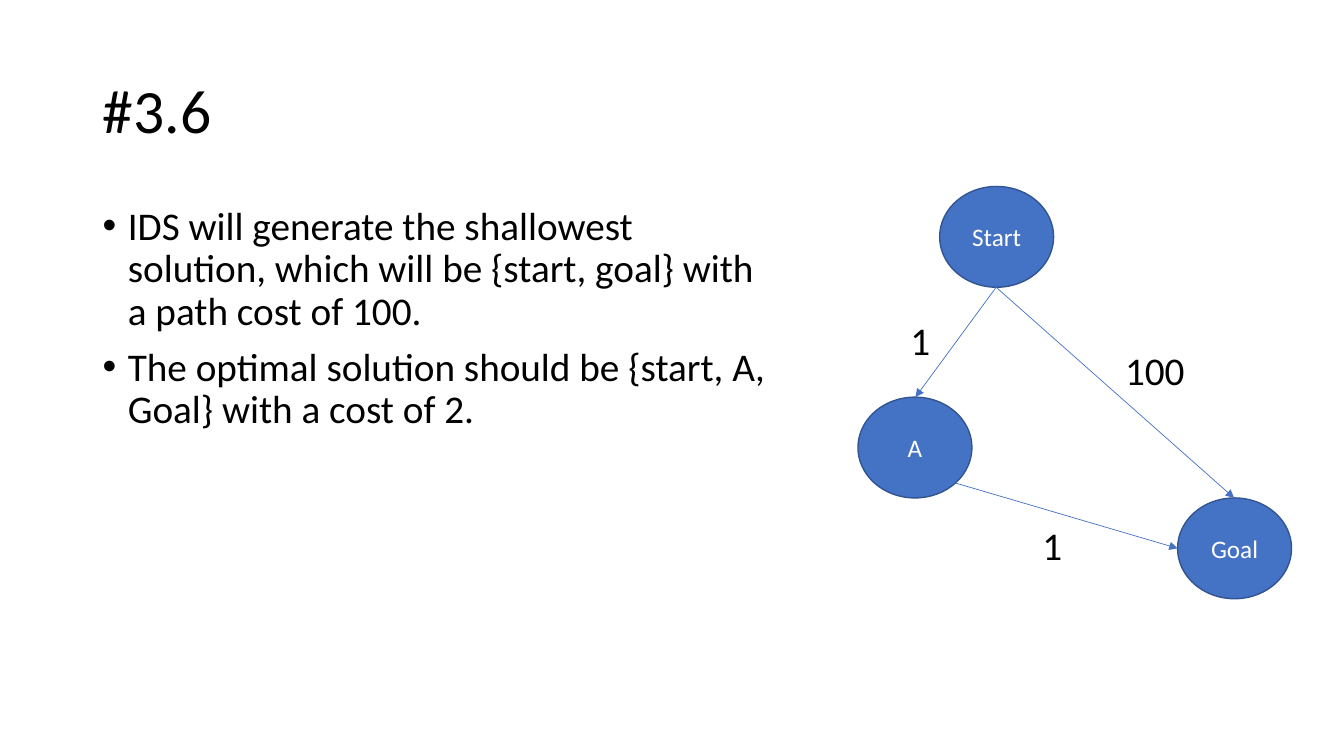
from dataclasses import dataclass

from lxml import etree
from pptx import Presentation
from pptx.dml.color import RGBColor
from pptx.enum.shapes import MSO_CONNECTOR, MSO_SHAPE
from pptx.enum.text import MSO_ANCHOR, MSO_AUTO_SIZE, PP_ALIGN
from pptx.oxml.ns import qn
from pptx.slide import Slide
from pptx.text.text import TextFrame, _Paragraph
from pptx.util import Pt

OVAL = MSO_SHAPE.OVAL
STRAIGHT = MSO_CONNECTOR.STRAIGHT
MIDDLE = MSO_ANCHOR.MIDDLE
TOP = MSO_ANCHOR.TOP
NO_FIT = MSO_AUTO_SIZE.NONE
LEFT = PP_ALIGN.LEFT
CENTER = PP_ALIGN.CENTER

BLUE = RGBColor(0x44, 0x72, 0xC4)
DARK_BLUE = RGBColor(0x32, 0x54, 0x91)
BLACK = RGBColor(0, 0, 0)
WHITE = RGBColor(255, 255, 255)

FONT = "Calibri"
EMU_PER_PX = 9144
NODE_WIDTH = 113
NODE_HEIGHT = 100

TOP_SITE = (0.5, 0)
BOTTOM_SITE = (0.5, 1)
LEFT_SITE = (0, 0.5)
LOWER_RIGHT_SITE = (0.85, 0.85)


@dataclass(frozen=True)
class Node:
    name: str
    left: int
    top: int

    def site(self, fraction: tuple[float, float]) -> tuple[int, int]:
        across, down = fraction
        return (round(self.left + across * NODE_WIDTH),
                round(self.top + down * NODE_HEIGHT))


@dataclass(frozen=True)
class Edge:
    source: Node
    source_site: tuple[float, float]
    target: Node
    target_site: tuple[float, float]


@dataclass(frozen=True)
class CostLabel:
    text: str
    left: int
    top: int
    width: int


START = Node("Start", 932, 185)
GOAL = Node("Goal", 1168, 494)
A = Node("A", 851, 394)
NODES = (START, GOAL, A)
EDGES = (
    Edge(START, BOTTOM_SITE, A, TOP_SITE),
    Edge(START, BOTTOM_SITE, GOAL, TOP_SITE),
    Edge(A, LOWER_RIGHT_SITE, GOAL, LEFT_SITE),
)
COST_LABELS = (
    CostLabel("100", 1106, 339, 101),
    CostLabel("1", 1024, 512, 79),
    CostLabel("1", 893, 309, 101),
)
BULLETS = (
    "IDS will generate the shallowest solution, which will be "
    "{start, goal} with a path cost of 100.",
    "The optimal solution should be {start, A, Goal} with a cost of 2.",
)


def px(*lengths: int) -> list[int]:
    return [length * EMU_PER_PX for length in lengths]


def add_span(para: _Paragraph, text: str, size: int, color: RGBColor) -> None:
    span = para.add_run()
    span.text = text
    span.font.name = FONT
    span.font.size = Pt(size)
    span.font.color.rgb = color


def add_text_box(page: Slide, left: int, top: int, width: int, height: int) -> TextFrame:
    frame = page.shapes.add_textbox(*px(left, top, width, height)).text_frame
    frame.word_wrap = True
    frame.auto_size = NO_FIT
    frame.vertical_anchor = TOP
    return frame


def set_title(page: Slide, text: str) -> None:
    title = page.shapes.title
    title.left, title.top, title.width, title.height = px(92, 40, 1150, 145)
    frame = title.text_frame
    frame.auto_size = NO_FIT
    frame.vertical_anchor = MIDDLE
    para = frame.paragraphs[0]
    para.alignment = LEFT
    para.line_spacing = 0.9
    add_span(para, text, 44, BLACK)


def add_bullets(page: Slide) -> None:
    frame = add_text_box(page, 92, 200, 684, 476)
    for index, text in enumerate(BULLETS):
        para = frame.add_paragraph() if index else frame.paragraphs[0]
        para.line_spacing = 0.9
        para.space_before = Pt(10 if index else 0)
        properties = para._p.get_or_add_pPr()
        indent = px(25)[0]
        properties.set("marL", str(indent))
        properties.set("indent", str(-indent))
        etree.SubElement(properties, qn("a:buFont"), typeface="Arial")
        etree.SubElement(properties, qn("a:buChar"), char="•")
        add_span(para, text, 28, BLACK)


def add_node(page: Slide, node: Node) -> None:
    oval = page.shapes.add_shape(OVAL, *px(node.left, node.top, NODE_WIDTH, NODE_HEIGHT))
    oval.shadow.inherit = False
    oval.fill.solid()
    oval.fill.fore_color.rgb = BLUE
    oval.line.color.rgb = DARK_BLUE
    oval.line.width = Pt(1)
    frame = oval.text_frame
    frame.vertical_anchor = MIDDLE
    para = frame.paragraphs[0]
    para.alignment = CENTER
    add_span(para, node.name, 18, WHITE)


def add_edge(page: Slide, edge: Edge) -> None:
    begin = edge.source.site(edge.source_site)
    end = edge.target.site(edge.target_site)
    arrow = page.shapes.add_connector(STRAIGHT, *px(*begin, *end))
    arrow.line.color.rgb = BLUE
    arrow.line.width = Pt(0.5)
    etree.SubElement(arrow.line._get_or_add_ln(), qn("a:tailEnd"), type="triangle")
    etree.SubElement(arrow._element.spPr, qn("a:effectLst"))


def add_cost_label(page: Slide, label: CostLabel) -> None:
    frame = add_text_box(page, label.left, label.top, label.width, 57)
    add_span(frame.paragraphs[0], label.text, 28, BLACK)


def main() -> None:
    deck = Presentation()
    deck.slide_width, deck.slide_height = px(1333, 750)
    page = deck.slides.add_slide(deck.slide_layouts.get_by_name("Title Only"))
    set_title(page, "#3.6")
    add_bullets(page)
    for node in NODES:
        add_node(page, node)
    for edge in EDGES:
        add_edge(page, edge)
    for label in COST_LABELS:
        add_cost_label(page, label)
    deck.save("out.pptx")


if __name__ == "__main__":
    main()
